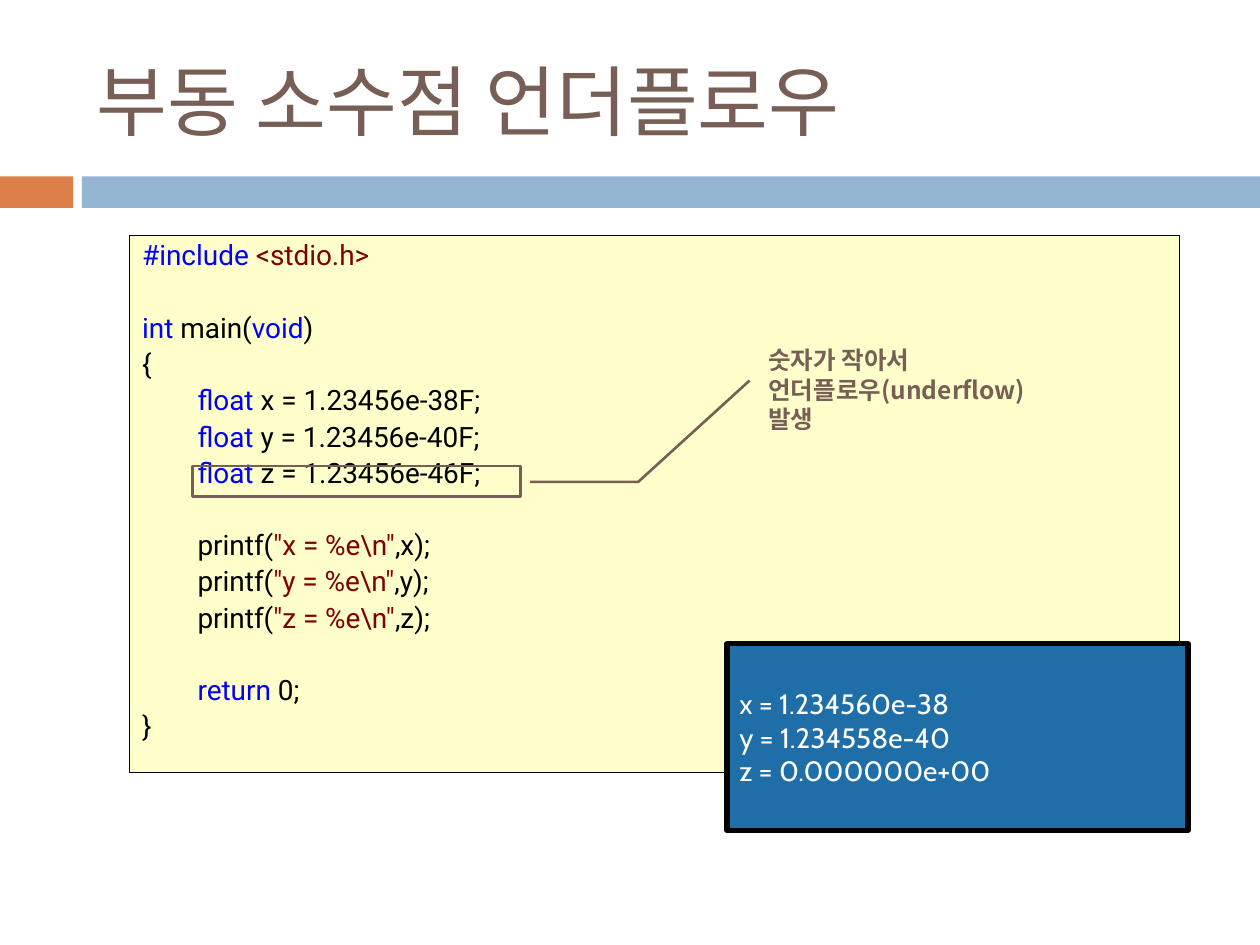
from lxml.etree import SubElement
from pptx import Presentation
from pptx.dml.color import RGBColor
from pptx.enum.shapes import MSO_SHAPE
from pptx.enum.text import MSO_ANCHOR, PP_ALIGN
from pptx.oxml.ns import qn
from pptx.util import Inches, Pt

BROWN, BLACK, WHITE = "775F55", "000000", "FFFFFF"
BLUE, RED = "0000FF", "800000"


def paint(fmt, tone):
    """Give a fill or a font a solid colour."""
    if hasattr(fmt, "solid"):
        fmt.solid()
        fmt.fore_color.rgb = RGBColor.from_string(tone)
    else:
        fmt.color.rgb = RGBColor.from_string(tone)


class Page:
    asian = "Noto Sans CJK KR"

    def __init__(self, deck):
        self.slide = deck.slides.add_slide(deck.slide_layouts[6])

    def style(self, run, font, size, tone, bold=False):
        run.font.name, run.font.size, run.font.bold = font, Pt(size), bold
        paint(run.font, tone)
        face = SubElement(run.font._element, qn("a:ea"))
        face.set("typeface", self.asian)

    def shape(self, box, fill=None, line=None, width=1, kind=MSO_SHAPE.RECTANGLE):
        item = self.slide.shapes.add_shape(kind, *map(Inches, box))
        item.shadow.inherit = False
        if fill:
            paint(item.fill, fill)
        else:
            item.fill.background()
        if line:
            paint(item.line.fill, line)
            item.line.width = Pt(width)
        else:
            item.line.fill.background()
        return item

    def text(self, item, words, font, size, tone, bold=False, anchor=MSO_ANCHOR.MIDDLE):
        frame = item.text_frame
        frame.word_wrap = True
        frame.vertical_anchor = anchor
        frame.text = words
        for para in frame.paragraphs:
            para.alignment = PP_ALIGN.LEFT
            for run in para.runs:
                self.style(run, font, size, tone, bold)

    def label(self, box, *look, **more):
        self.text(self.slide.shapes.add_textbox(*map(Inches, box)), *look, **more)

    def code(self, item, lines):
        frame = item.text_frame
        frame.word_wrap = True
        frame.vertical_anchor = MSO_ANCHOR.TOP
        for num, (inset, gap, parts) in enumerate(lines):
            para = frame.add_paragraph() if num else frame.paragraphs[0]
            para.alignment = PP_ALIGN.LEFT
            para.line_spacing = 0.9
            para.space_before = Pt(gap)
            para._p.get_or_add_pPr().set("marL", str(Inches(inset)))
            for words, tone in parts:
                run = para.add_run()
                run.text = words
                self.style(run, "Roboto", 16, tone)


def main():
    deck = Presentation()
    deck.slide_width, deck.slide_height = Inches(10), Inches(7.5)
    page = Page(deck)

    # Title and colour bars
    page.shape((0, 1.4, 0.58, 0.25), "DD8047")
    page.shape((0.65, 1.4, 9.35, 0.25), "94B6D2")
    page.label((0.67, 0.25, 8.92, 1.08), "부동 소수점 언더플로우", "Arial", 44, BROWN)

    # Program: indent, space before, coloured parts
    near, far, tab = 3.5, 24, 0.44
    values = {"x": "1.23456e-38F", "y": "1.23456e-40F", "z": "1.23456e-46F"}
    lines = [
        (0, near, [("#include ", BLUE), ("<stdio.h>", RED)]),
        (0, far, [("int", BLUE), (" main(", BLACK), ("void", BLUE), (")", BLACK)]),
        (0, near, [("{", BLACK)]),
    ]
    for name, value in values.items():
        lines.append((tab, near, [("float", BLUE), (f" {name} = {value};", BLACK)]))
    for name in values:
        lines.append((tab, far if name == "x" else near, [
            ("printf(", BLACK), (f'"{name} = %e\\n"', RED), (f",{name});", BLACK)]))
    lines += [
        (tab, far, [("return", BLUE), (" 0;", BLACK)]),
        (0, near, [("}", BLACK)]),
    ]
    page.code(page.shape((1.03, 1.87, 8.33, 4.26), "FFFFCC", BLACK, 0.75), lines)

    # Callout around the underflowing value
    mark = page.shape((1.53, 3.7, 2.6, 0.24), None, BROWN, 1.5, MSO_SHAPE.LINE_CALLOUT_2)
    for num, value in enumerate((0.52, 1.03, 0.52, 1.36, -2.83, 1.7)):
        mark.adjustments[num] = value
    page.label((6, 2.69, 2.3, 0.81), "숫자가 작아서\v언더플로우(underflow) 발생",
               page.asian, 14, BROWN, bold=True, anchor=MSO_ANCHOR.TOP)

    # Program output
    panel = page.shape((5.77, 5.11, 3.66, 1.48), "1F6EA7", BLACK, 3)
    page.text(panel, "x = 1.234560e-38\ny = 1.234558e-40\nz = 0.000000e+00",
              "Cabin", 16, WHITE)

    deck.save("out.pptx")


if __name__ == "__main__":
    main()
